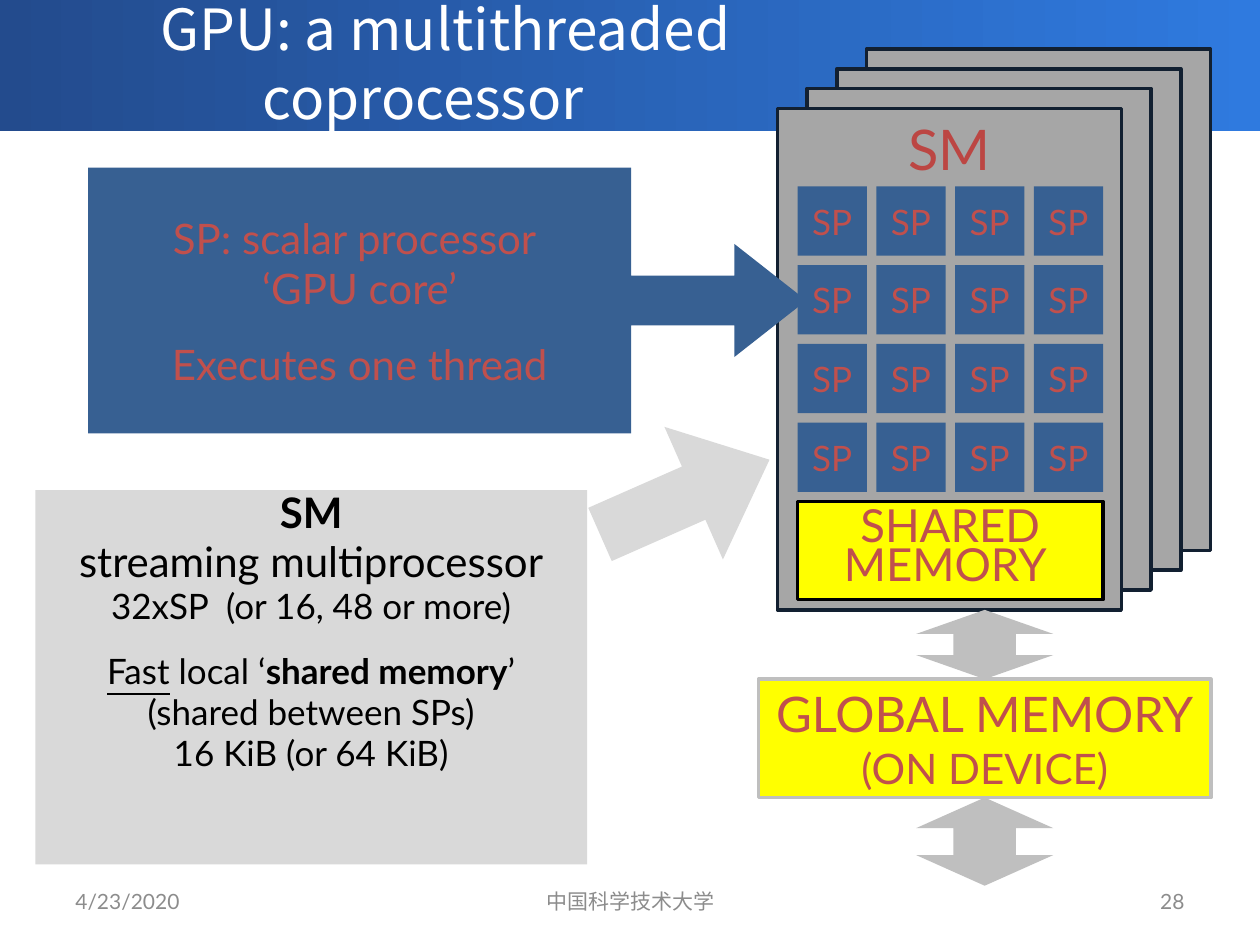
from pptx import Presentation, util as u
from pptx.dml import color
from pptx.enum import shapes, text

LATIN, CJK = "Lato", "Noto Sans CJK SC"
RED, BLUE, YELLOW, SHEET, PALE, SILVER = "C0504D", "376092", "FFFF00", "A6A6A6", "D9D9D9", "BFBFBF"
KIND = shapes.MSO_SHAPE
CENTER = text.PP_ALIGN.CENTER
MIDDLE, TOP = text.MSO_ANCHOR.MIDDLE, text.MSO_ANCHOR.TOP

prs = Presentation()
prs.slide_width, prs.slide_height = u.Inches(10), u.Inches(7.5)
slide = prs.slides.add_slide(prs.slide_layouts[1])


def write(shape, paragraphs, size=20, hue=RED, font=LATIN, align=CENTER, anchor=MIDDLE, spacing=None):
    """Fill a shape with paragraphs: (runs, format) pairs, runs being (words, styles) pairs."""
    frame = shape.text_frame
    frame.word_wrap = True
    frame.auto_size = text.MSO_AUTO_SIZE.NONE
    frame.vertical_anchor = anchor
    for i, (runs, form) in enumerate(paragraphs):
        para = frame.add_paragraph() if i else frame.paragraphs[0]
        para.alignment = align
        para.line_spacing = spacing
        para.space_before = u.Pt(form.get("before", 0))
        for words, styles in runs:
            if words == "\v":
                para.add_line_break()
                continue
            run = para.add_run()
            run.text = words
            run.font.size = u.Pt(form.get("size", size))
            run.font.name = font
            run.font.color.rgb = color.RGBColor.from_string(hue)
            run.font.bold = "b" in styles
            run.font.underline = "u" in styles


def draw(kind, left, top, width, height, fill, line=None, adjust=()):
    """Add a flat preset shape, measured in inches."""
    shape = slide.shapes.add_shape(kind, *map(u.Inches, (left, top, width, height)))
    shape.shadow.inherit = False
    shape.fill.solid()
    shape.fill.fore_color.rgb = color.RGBColor.from_string(fill)
    if line:
        shape.line.color.rgb = color.RGBColor.from_string(line)
        shape.line.width = u.Pt(2)
    else:
        shape.line.fill.background()
    if adjust:
        shape._element.prstGeom.rewrite_guides(
            [(f"adj{i}", round(value * 100000)) for i, value in enumerate(adjust, 1)])
    return shape


# Banner, behind everything
banner = draw(KIND.RECTANGLE, 0, -0.03, 10, 1.07, "234B8D")
banner.fill.gradient()
banner.fill.gradient_angle = 0
for stop, hue in zip(banner.fill.gradient_stops, ("234B8D", "2F7ADF")):
    stop.color.rgb = color.RGBColor.from_string(hue)
slide.shapes._spTree.insert(2, banner._element)

# Title
title, body = slide.placeholders
title.left, title.top, title.width, title.height = map(u.Inches, (1, 0, 5.17, 0.99))
write(title, [([("GPU: a multithreaded ", ""), ("\v", ""), ("coprocessor\t", "")], {})],
      size=32.4, hue="FFFFFF", font=CJK, spacing=1.0)

# Footer
for left, width, words, align in (
        (0.5, 2.33, "4/23/2020", text.PP_ALIGN.LEFT),
        (3.42, 3.17, "中国科学技术大学", CENTER),
        (7.17, 2.33, "28", text.PP_ALIGN.RIGHT)):
    footer = slide.shapes.add_textbox(*map(u.Inches, (left, 6.95, width, 0.4)))
    write(footer, [([(words, "")], {})], size=12, hue="8C8C8C", align=align)

# Streaming multiprocessor description
body.left, body.top, body.width, body.height = map(u.Inches, (0.28, 3.89, 4.38, 2.97))
body.fill.solid()
body.fill.fore_color.rgb = color.RGBColor.from_string(PALE)
write(body, [
    ([("SM", "b")], {"size": 24}),
    ([("streaming multiprocessor", "")], {"size": 24, "before": 4.8}),
    ([("32xSP  (or 16, 48 or more)", "")], {"before": 4}),
    ([("Fast", "u"), (" local ‘", ""), ("shared memory", "b"), ("’", "")], {"before": 18.2}),
    ([("(shared between SPs)", "")], {"before": 4}),
    ([("16 KiB (or 64 KiB)", "")], {"before": 4}),
], hue="000000", anchor=TOP, spacing=0.8)
for para in body.text_frame.paragraphs:
    props = para._p.get_or_add_pPr()
    props.set("marL", "0")
    props.set("indent", "0")
    props.insert_element_before(props.makeelement(
        "{http://schemas.openxmlformats.org/drawingml/2006/main}buNone", {}), "a:tabLst", "a:defRPr", "a:extLst")

# Stack of multiprocessors, back to front
sm_left, sm_top = 6.17, 0.86
for depth in (3, 2, 1, 0):
    sm = draw(KIND.RECTANGLE, sm_left + depth * 0.236, sm_top - depth * 0.157, 2.73, 3.98, SHEET, "122031")
write(sm, [([("SM", "")], {})], size=32, hue="BC4643", anchor=TOP)

# Grid of scalar processors
grid_left, grid_top, pitch, core = 6.33, 1.48, 0.625, 0.55
for row in range(4):
    for column in range(4):
        sp = draw(KIND.RECTANGLE, grid_left + column * pitch, grid_top + row * pitch, core, core, BLUE)
        sp.text_frame.margin_left = sp.text_frame.margin_right = 0
        write(sp, [([("SP", "")], {})])

# Memories and the traffic between them
shared = draw(KIND.RECTANGLE, grid_left, grid_top + 4 * pitch, 3 * pitch + core, 0.78, YELLOW, "000000")
write(shared, [([("SHARED MEMORY ", "")], {})], size=26, spacing=0.7)
global_memory = draw(KIND.RECTANGLE, 6.02, 5.39, 3.59, 0.94, YELLOW, SILVER)
write(global_memory, [([("GLOBAL MEMORY", "")], {"size": 28}), ([("(ON DEVICE)", "")], {"size": 24})])
for top, height in ((4.84, 0.55), (6.33, 0.7)):
    draw(KIND.UP_DOWN_ARROW, 7.27, top, 1.09, height, SILVER, adjust=(0.456, 0.348))

# Scalar processor callout and arrow towards the multiprocessor
callout = draw(KIND.RIGHT_ARROW_CALLOUT, 0.7, 1.33, 5.7, 2.11, BLUE, adjust=(0.187, 0.213, 0.271, 0.756))
write(callout, [
    ([("SP: scalar processor ", "")], {}),
    ([("‘GPU core’", "")], {}),
    ([("Executes one thread", "")], {"before": 14.6}),
], size=24)
sm_arrow = draw(KIND.RIGHT_ARROW, 4.7, 3.37, 1.47, 1.15, PALE, adjust=(0.401, 0.572))
sm_arrow.rotation = 336.2

prs.save("out.pptx")
